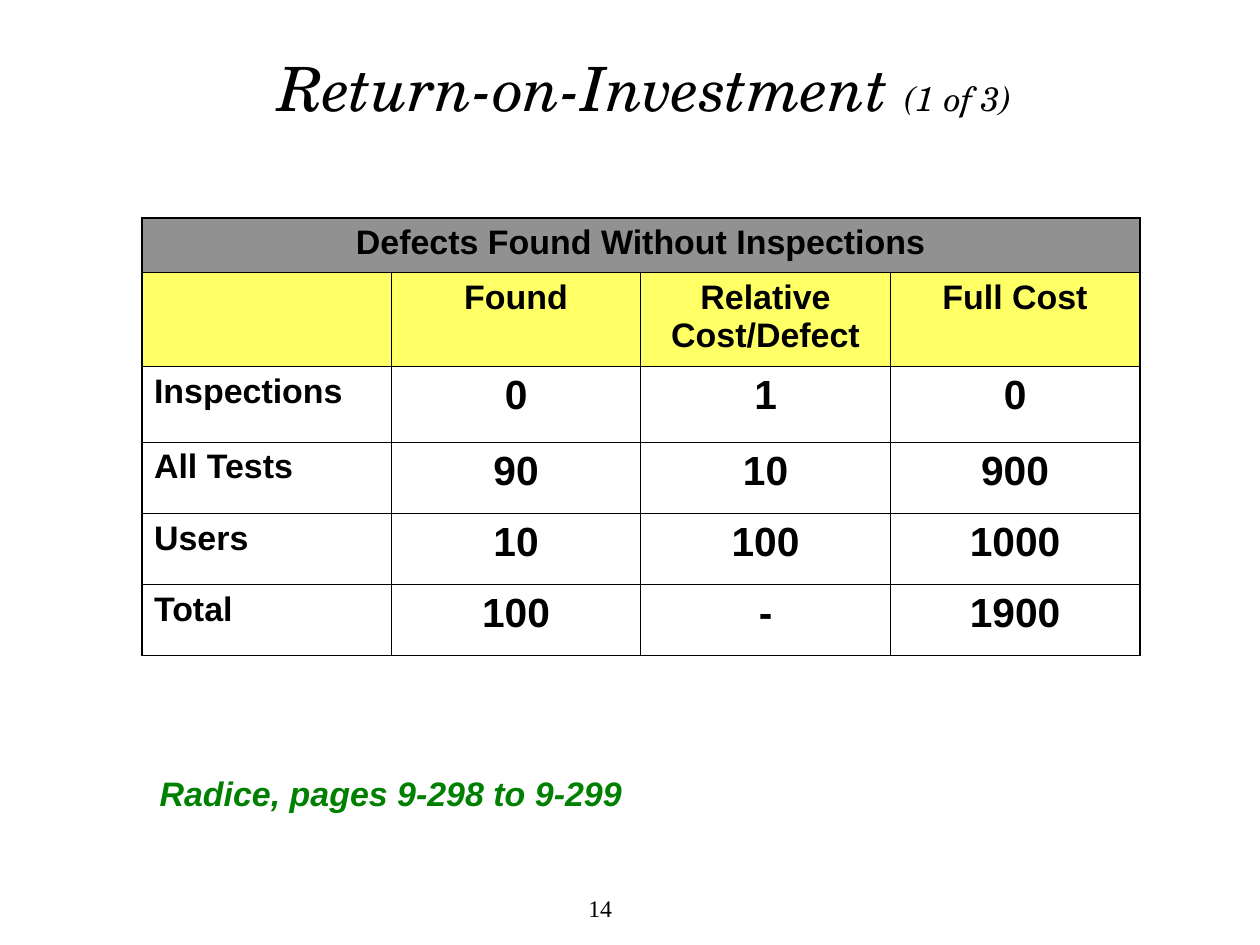
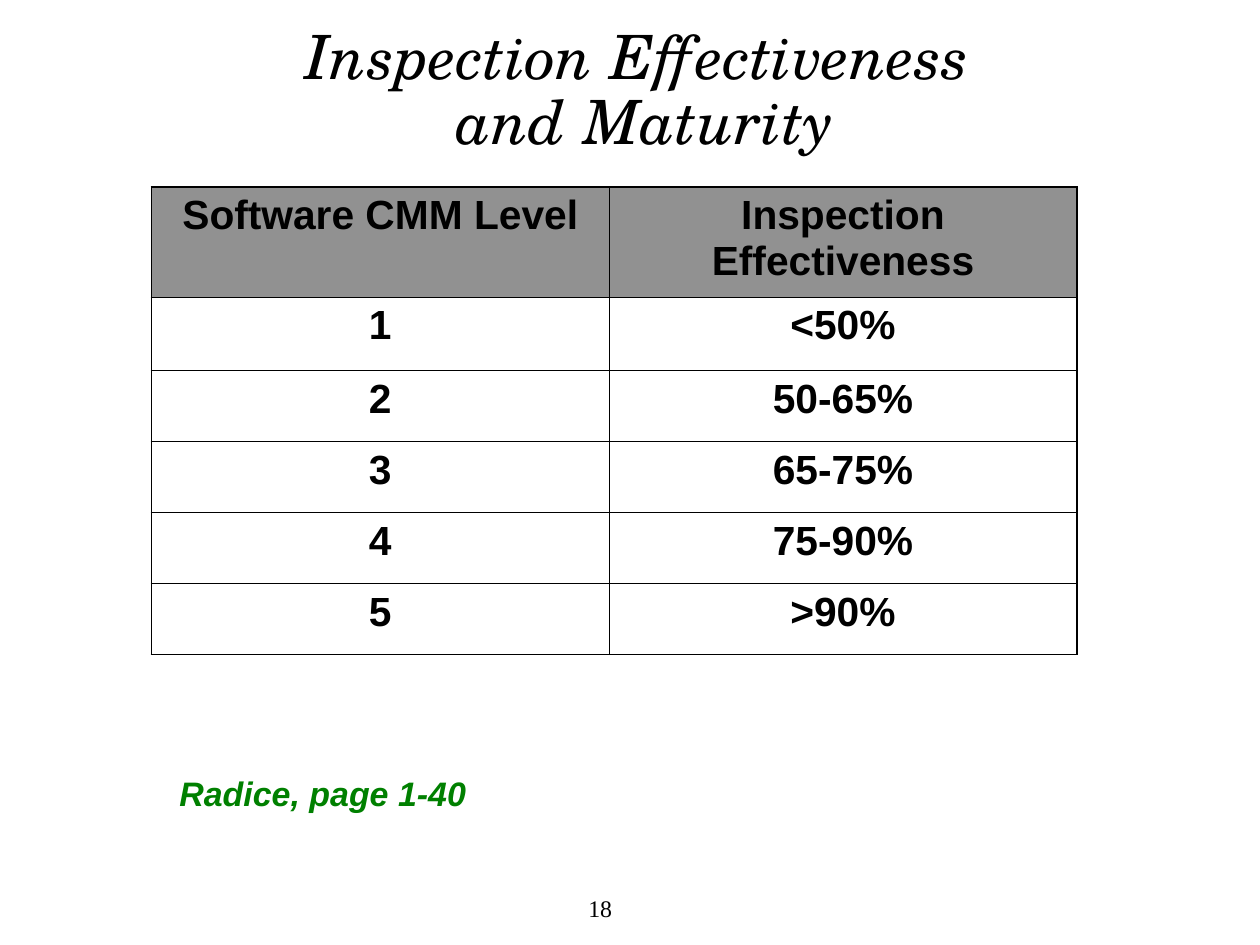
from lxml.etree import SubElement
from pptx import Presentation
from pptx.dml.color import RGBColor
from pptx.enum.text import MSO_ANCHOR, PP_ALIGN
from pptx.oxml.ns import qn
from pptx.util import Cm, Pt

COLORS = {"ink": "000000", "banner": "919191", "heading": "FFFF66", "source": "008000"}
SANS = {"name": "Arial", "bold": True}
SERIF = {"name": "TeX Gyre Schola", "italic": True}
STYLES = {
    "title": ("ink", PP_ALIGN.CENTER, {**SERIF, "size": Pt(36)}),
    "part": ("ink", PP_ALIGN.CENTER, {**SERIF, "size": Pt(20)}),
    "number": ("ink", PP_ALIGN.CENTER, {"name": "Times New Roman", "size": Pt(14)}),
    "source": ("source", PP_ALIGN.LEFT, {**SANS, "size": Pt(20), "italic": True}),
    "heading": ("ink", PP_ALIGN.CENTER, {**SANS, "size": Pt(20)}),
    "label": ("ink", PP_ALIGN.LEFT, {**SANS, "size": Pt(20)}),
    "value": ("ink", PP_ALIGN.CENTER, {**SANS, "size": Pt(24)}),
}
THIN, THICK = Pt(0.45), Pt(1.08)


class Deck:
    def __init__(self):
        self.deck = Presentation()
        self.deck.slide_width, self.deck.slide_height = Cm(26.21), Cm(19.66)
        self.page = None

    def add_page(self, number, title, part=""):
        self.page = self.deck.slides.add_slide(self.deck.slide_layouts[6])
        self.add_text(9.73, 18.16, 5.51, 1.47, "number", str(number), MSO_ANCHOR.MIDDLE)
        para = self.add_text(3.15, 0.94, 20.55, 1.96, "title", title, MSO_ANCHOR.MIDDLE)
        para.line_spacing = 0.9
        if part:
            self.add_spans(para, part, "part")

    def add_spans(self, para, text, style):
        color, para.alignment, formats = STYLES[style]
        for index, line in enumerate(text.splitlines()):
            if index:
                para.add_line_break()
            span = para.add_run()
            span.text = line
            for name, value in formats.items():
                setattr(span.font, name, value)
            span.font.color.rgb = RGBColor.from_string(COLORS[color])

    def add_text(self, left, top, width, height, style, text, anchor=MSO_ANCHOR.TOP):
        box = self.page.shapes.add_textbox(Cm(left), Cm(top), Cm(width), Cm(height))
        box.text_frame.word_wrap = True
        box.text_frame.vertical_anchor = anchor
        para = box.text_frame.paragraphs[0]
        self.add_spans(para, text, style)
        return para

    def add_source(self, left, text):
        self.add_text(left, 15.95, 11, 1.12, "source", text)

    def add_borders(self, cell, edges):
        for side, outer in edges.items():
            width = THICK if outer else THIN
            line = SubElement(cell._tc.get_or_add_tcPr(), qn(f"a:ln{side}"), w=str(int(width)))
            fill = SubElement(line, qn("a:solidFill"))
            SubElement(fill, qn("a:srgbClr"), val=COLORS["ink"])

    def add_table(self, left, top, widths, heights, rows):
        frame = self.page.shapes.add_table(
            len(rows), len(widths), Cm(left), Cm(top), Cm(sum(widths)), Cm(sum(heights)))
        table = frame.table
        table.first_row = table.horz_banding = False
        for column, width in zip(table.columns, widths):
            column.width = Cm(width)
        for row, height in zip(table.rows, heights):
            row.height = Cm(height)
        last_row, last_column = len(rows) - 1, len(widths) - 1
        for r, (fill, first_style, style, texts) in enumerate(rows):
            spanning = len(texts) == 1
            if spanning:
                table.cell(r, 0).merge(table.cell(r, last_column))
            for c in range(len(widths)):
                cell = table.cell(r, c)
                self.add_borders(cell, {"L": c == 0, "R": spanning or c == last_column,
                                        "T": r == 0, "B": r == last_row})
                if fill:
                    cell.fill.solid()
                    cell.fill.fore_color.rgb = RGBColor.from_string(COLORS[fill])
                else:
                    cell.fill.background()
                if c < len(texts):
                    para = cell.text_frame.paragraphs[0]
                    self.add_spans(para, texts[c], style if c else first_style)


def main():
    show = Deck()

    show.add_page(14, "Return-on-Investment ", "(1 of 3)")
    costs = [
        ("Inspections", "0", "1", "0"),
        ("All Tests", "90", "10", "900"),
        ("Users", "10", "100", "1000"),
        ("Total", "100", "-", "1900"),
    ]
    show.add_table(2.95, 4.53, [5.19] * 4, [1.14, 1.96, 1.57] + [1.48] * 3, [
        ("banner", "heading", "heading", ["Defects Found Without Inspections"]),
        ("heading", "heading", "heading", ["", "Found", "Relative Cost/Defect", "Full Cost"]),
        *((None, "label", "value", texts) for texts in costs),
    ])
    show.add_source(3.07, "Radice, pages 9-298 to 9-299")

    show.add_page(18, "Inspection Effectiveness \nand Maturity")
    levels = ["<50%", "50-65%", "65-75%", "75-90%", ">90%"]
    show.add_table(3.15, 3.89, [9.52, 9.73], [2.29, 1.52] + [1.48] * 4, [
        ("banner", "value", "value", ["Software CMM Level", "Inspection Effectiveness"]),
        *((None, "value", "value", [str(level), share])
          for level, share in enumerate(levels, 1)),
    ])
    show.add_source(3.48, "Radice, page 1-40")

    show.deck.save("out.pptx")


if __name__ == "__main__":
    main()
